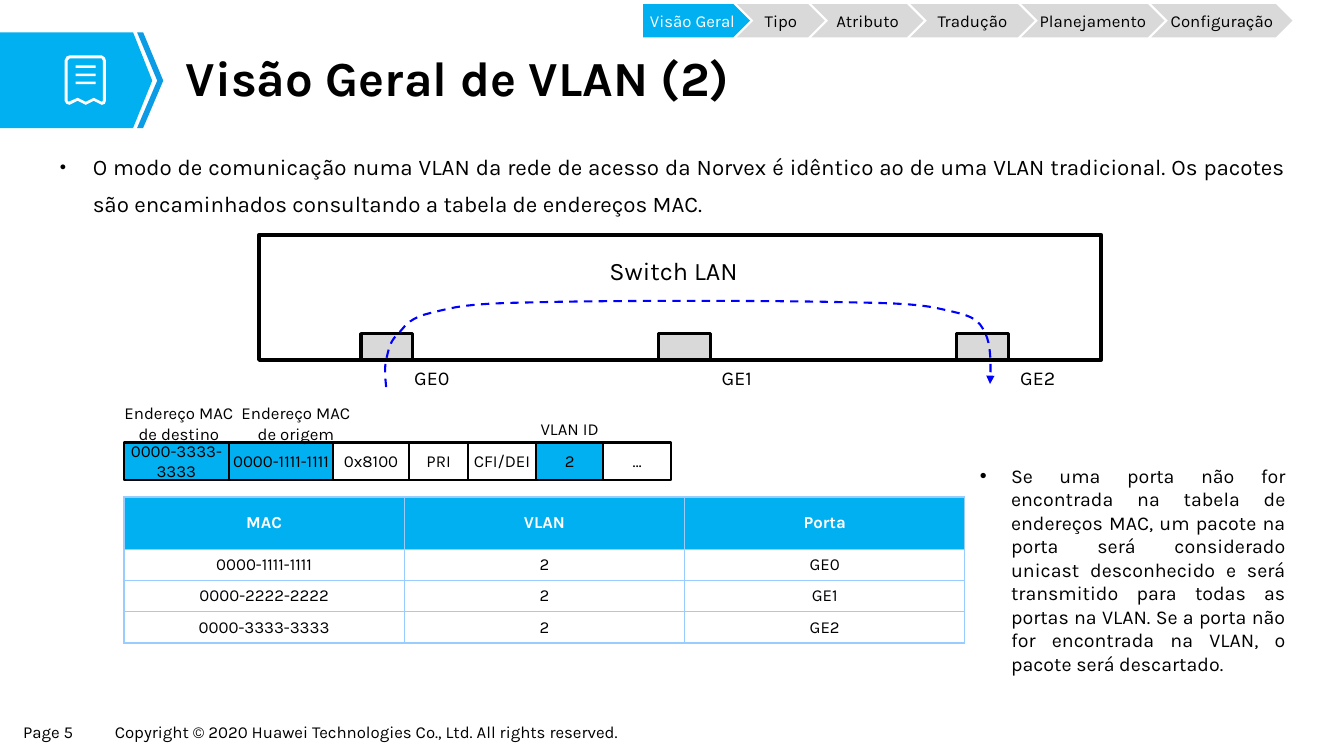
"""Build the VLAN overview slide with its switch, frame and MAC table."""
from dataclasses import dataclass

from lxml import etree
from pptx import Presentation
from pptx.dml.color import RGBColor
from pptx.enum.dml import MSO_LINE
from pptx.enum.shapes import MSO_SHAPE
from pptx.enum.text import MSO_ANCHOR, MSO_AUTO_SIZE, PP_ALIGN
from pptx.oxml.ns import qn
from pptx.util import Inches, Pt

LEFT, MID, JUST = PP_ALIGN.LEFT, PP_ALIGN.CENTER, PP_ALIGN.JUSTIFY
CENTRE, FIXED = MSO_ANCHOR.MIDDLE, MSO_AUTO_SIZE.NONE
RECT, PLATE, CHEVRON = MSO_SHAPE.RECTANGLE, MSO_SHAPE.PENTAGON, MSO_SHAPE.CHEVRON
DASH = MSO_LINE.DASH
CELL = Inches(0.1)


@dataclass(frozen=True)
class Theme:
    font: str = "Karla"
    black: str = "000000"
    white: str = "FFFFFF"
    blue: str = "00B0F0"
    edge: str = "0B9CE5"
    grey: str = "D9D9D9"
    flow: str = "0000FF"
    rule: str = "99CCFF"
    title: int = 35
    switch: int = 18
    body: int = 16
    note: int = 14
    small: int = 12


theme = Theme()


def write(frame, text, size=theme.small, ink=theme.black, bold=False, align=LEFT,
          anchor=None, inset=None, bullet=None, dot=100, hang=0, lead=None):
    frame.word_wrap = True
    frame.auto_size = FIXED
    if anchor is not None:
        frame.vertical_anchor = anchor
    if inset is not None:
        frame.margin_left = frame.margin_right = inset
        frame.margin_top = frame.margin_bottom = inset
    para = frame.paragraphs[0]
    para.alignment = align
    para.space_before = Pt(0)
    if lead:
        para.line_spacing = lead
    if bullet:
        props = para._p.get_or_add_pPr()
        props.set("marL", str(int(hang * CELL)))
        props.set("indent", str(int(-hang * CELL)))
        etree.SubElement(props, qn("a:buSzPct")).set("val", str(dot * 1000))
        etree.SubElement(props, qn("a:buFont")).set("typeface", "Arial")
        etree.SubElement(props, qn("a:buChar")).set("char", bullet)
    run = para.add_run()
    run.text = text
    run.font.name = theme.font
    run.font.size = Pt(size)
    run.font.bold = bold
    run.font.color.rgb = RGBColor.from_string(ink)


def trace(rings, fill=None):
    rings = [[(round(x * CELL), round(y * CELL)) for x, y in ring] for ring in rings]
    pen = slide.shapes.build_freeform(*rings[0][0], scale=1.0)
    for ring in rings:
        if ring is not rings[0]:
            pen.move_to(*ring[0])
        pen.add_line_segments(ring[1:], close=bool(fill))
    form = pen.convert_to_shape()
    form.shadow.inherit = False
    if fill:
        form.fill.solid()
        form.fill.fore_color.rgb = RGBColor.from_string(fill)
        form.line.fill.background()
    else:
        form.fill.background()
    return form


deck = Presentation()
deck.slide_width, deck.slide_height = Inches(13.33), Inches(7.5)
slide = deck.slides.add_slide(deck.slide_layouts[1])

trace([[(0, 3.2), (13.2, 3.2), (15.1, 8), (13.2, 12.7), (0, 12.7)]], theme.blue)
trace([[(13.6, 3.2), (14.2, 3.2), (16.2, 8), (14.2, 12.7), (13.6, 12.7), (15.6, 8)]],
      theme.edge)
outer = [(6.9, 5.5), (10.1, 5.5), (10.4, 5.7), (10.5, 6), (10.5, 10), (10.4, 10.3),
         (10.1, 10.4), (9.3, 10), (8.5, 10.4), (7.7, 10), (6.9, 10.4), (6.6, 10.3),
         (6.4, 10), (6.4, 6), (6.6, 5.6)]
inner = [(6.9, 5.8), (6.7, 6), (6.7, 10), (6.8, 10.1), (7.7, 9.7), (8.5, 10.1),
         (9.3, 9.7), (10.1, 10.1), (10.2, 10), (10.2, 6), (10.1, 5.8)]
trace([outer, inner], theme.white)
trace([[(7.5, y), (9.5, y), (9.5, y + 0.25), (7.5, y + 0.25)] for y in (6.5, 7.3, 8.1)],
      theme.white)

title, body = slide.shapes.title, slide.placeholders[1]
for holder, spot in ((title, (17.4, 4.5, 107.5, 7)), (body, (4.9, 13.6, 123.6, 51.2))):
    holder.left, holder.top, holder.width, holder.height = (int(n * CELL) for n in spot)
write(title.text_frame, "Visão Geral de VLAN (2)", size=theme.title, bold=True,
      anchor=CENTRE, lead=0.9)
write(body.text_frame, "O modo de comunicação numa VLAN da rede de acesso da Norvex é "
      "idêntico ao de uma VLAN tradicional. Os pacotes são encaminhados consultando a "
      "tabela de endereços MAC.", size=theme.body, align=JUST, bullet="●", dot=50,
      hang=3.3, lead=1.4)

rows = [("MAC", "VLAN", "Porta"), ("0000-1111-1111", "2", "GE0"),
        ("0000-2222-2222", "2", "GE1"), ("0000-3333-3333", "2", "GE2")]
spot = (int(n * CELL) for n in (12.3, 49.3, 83.4, 14.5))
table = slide.shapes.add_table(4, 3, *spot).table
table.horz_banding = False
for r, row in enumerate(rows):
    head = r == 0
    table.rows[r].height = int((5.2 if head else 3.1) * CELL)
    for c, word in enumerate(row):
        cell = table.cell(r, c)
        cell.vertical_anchor = CENTRE
        cell.margin_top = cell.margin_bottom = 0
        props = cell._tc.get_or_add_tcPr()
        for side in ("a:lnL", "a:lnR", "a:lnT", "a:lnB"):
            line = etree.SubElement(props, qn(side), w=str(Pt(1)))
            solid = etree.SubElement(line, qn("a:solidFill"))
            etree.SubElement(solid, qn("a:srgbClr"), val=theme.rule)
        if head:
            cell.fill.solid()
            cell.fill.fore_color.rgb = RGBColor.from_string(theme.blue)
        else:
            cell.fill.background()
        write(cell.text_frame, word, align=MID, bold=head,
              ink=theme.white if head else theme.black)

boxes = [(RECT, 25.7, 23.3, 83.5, 12.4, None, 3, "", theme.black)]
for n in range(3):
    boxes.append((RECT, 35.8 + n * 29.55, 33.1, 5.1, 2.6, theme.grey, 2.25, "", theme.black))
left = 12.3
for word, wide, fill in (("0000-3333-3333", 10.4, theme.blue),
                         ("0000-1111-1111", 10.35, theme.blue), ("0x8100", 7.5, None),
                         ("PRI", 5.9, None), ("CFI/DEI", 6.7, None),
                         ("2", 6.7, theme.blue), ("…", 6.7, None)):
    boxes.append((RECT, left, 43.9, wide, 3.7, fill, 1.5, word, theme.black))
    left += wide
left = 63.8
for word, wide in (("Visão Geral", 10.6), ("Tipo", 8.7), ("Atributo", 11.1),
                   ("Tradução", 12.3), ("Planejamento", 14.2), ("Configuração", 14)):
    now = word == "Visão Geral"
    boxes.append((PLATE if now else CHEVRON, left, 0.4, wide, 3.3,
                  theme.blue if now else theme.grey, 0, word,
                  theme.white if now else theme.black))
    left += wide - 1.3
for kind, x, y, wide, high, fill, edge, word, ink in boxes:
    box = slide.shapes.add_shape(kind, *(int(n * CELL) for n in (x, y, wide, high)))
    box.shadow.inherit = False
    if fill:
        box.fill.solid()
        box.fill.fore_color.rgb = RGBColor.from_string(fill)
    else:
        box.fill.background()
    if edge:
        box.line.color.rgb = RGBColor.from_string(theme.black)
        box.line.width = Pt(edge)
    else:
        box.line.fill.background()
    if word:
        write(box.text_frame, word, ink=ink, align=MID, anchor=CENTRE, inset=0)

knots = [(38.3, 38.4), (38.2, 37.3), (38.1, 36.2), (38.4, 35.3), (38.6, 34.4),
         (38.8, 33.7), (39.6, 33), (40.3, 32.2), (40.7, 31.5), (42.9, 31),
         (45.1, 30.5), (45.9, 30.1), (52.8, 30), (59.7, 29.8), (77.5, 29.8),
         (84.5, 30), (91.4, 30.1), (92.2, 30.4), (94.4, 30.9), (96.6, 31.4),
         (97.1, 31.8), (97.7, 33), (98.3, 34.2), (98.3, 36.1), (98.2, 38.1)]
route = knots[:1]
for k in range(0, len(knots) - 1, 3):
    for step in range(1, 9):
        t = step / 8
        blend = ((1 - t) ** 3, 3 * t * (1 - t) ** 2, 3 * t * t * (1 - t), t ** 3)
        route.append(tuple(sum(b * knot[axis] for b, knot in zip(blend, knots[k:k + 4]))
                           for axis in (0, 1)))
flow = trace([route])
flow.line.color.rgb = RGBColor.from_string(theme.flow)
flow.line.width = Pt(1.5)
flow.line.dash_style = DASH
etree.SubElement(flow.line._get_or_add_ln(), qn("a:tailEnd"), type="triangle")

labels = [
    ("Page 5", (1.3, 71.1, 8.1, 2.9), {}),
    ("Copyright © 2020 Huawei Technologies Co., Ltd. All rights reserved.",
     (10.4, 71.1, 54.1, 2.9), {}),
    ("Endereço MAC de destino", (11.1, 39.5, 13.3, 2.7), {"align": MID}),
    ("Endereço MAC de origem", (22.6, 39.5, 13.5, 2.7), {"align": MID}),
    ("VLAN ID", (52.2, 41.1, 8.6, 2.7), {"align": MID}),
    ("GE0", (40.1, 35.8, 5.8, 2.6), {"size": theme.note}),
    ("GE1", (70.6, 35.8, 5.8, 2.6), {"size": theme.note}),
    ("GE2", (100.2, 35.8, 5.8, 2.6), {"size": theme.note}),
    ("Switch LAN", (59.2, 24.8, 15.2, 3.1), {"size": theme.switch, "align": MID}),
    ("Se uma porta não for encontrada na tabela de endereços MAC, um pacote na porta "
     "será considerado unicast desconhecido e será transmitido para todas as portas na "
     "VLAN. Se a porta não for encontrada na VLAN, o pacote será descartado.",
     (96.2, 45.5, 32.3, 19.3),
     {"size": theme.note, "align": JUST, "bullet": "•", "hang": 3.1}),
]
for word, spot, style in labels:
    label = slide.shapes.add_textbox(*(int(n * CELL) for n in spot))
    write(label.text_frame, word, **style)

deck.save("out.pptx")
